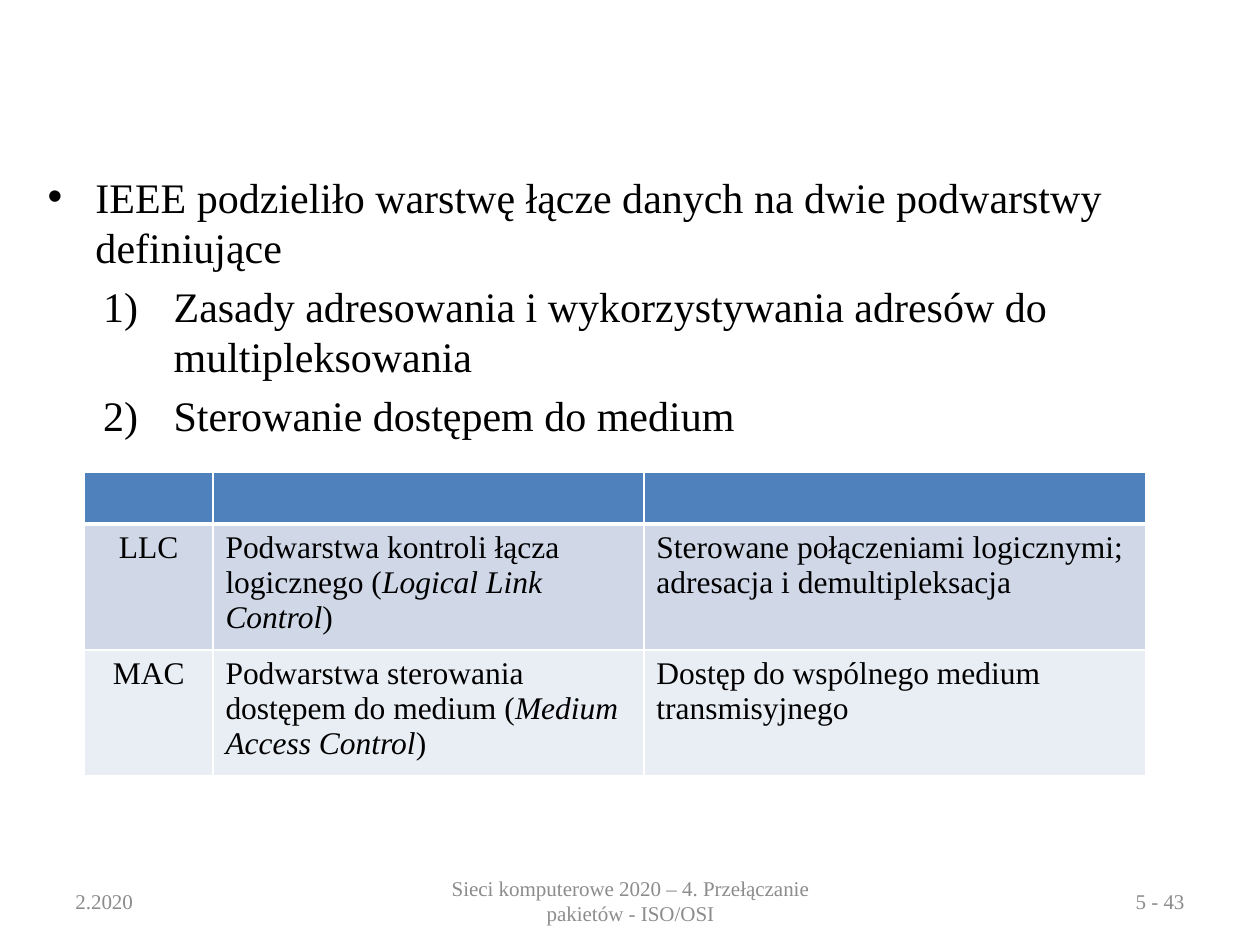
from lxml.etree import SubElement
from pptx import Presentation
from pptx.dml.color import RGBColor
from pptx.enum.text import MSO_ANCHOR, PP_ALIGN
from pptx.oxml.ns import qn
from pptx.util import Inches, Pt

BLACK = RGBColor(0x00, 0x00, 0x00)
GRAY = RGBColor(0x8C, 0x8C, 0x8C)
WHITE = RGBColor(0xFF, 0xFF, 0xFF)
HEADER_BLUE = RGBColor(0x4F, 0x81, 0xBD)
BAND_DARK = RGBColor(0xD0, 0xD8, 0xE8)
BAND_LIGHT = RGBColor(0xE9, 0xED, 0xF4)

BULLET = ("buChar", {"char": "•"})
NUMBER = ("buAutoNum", {"type": "arabicParenR"})
OUTLINE = [
    ("IEEE podzieliło warstwę łącze danych na dwie podwarstwy definiujące", 0, 0.38, -0.38, BULLET),
    ("Zasady adresowania i wykorzystywania adresów do multipleksowania", 1, 1, -0.56, NUMBER),
    ("Sterowanie dostępem do medium", 1, 1, -0.56, NUMBER),
]
FOOTERS = [
    ("Sieci komputerowe 2020 – 4. Przełączanie pakietów - ISO/OSI", 3.42, 3.17, PP_ALIGN.CENTER),
    ("5 - 43", 7.17, 2.33, PP_ALIGN.RIGHT),
    ("2.2020", 0.5, 2.33, PP_ALIGN.LEFT),
]
COLUMNS = [1.02, 3.42, 3.98]
ROWS = [
    (0.41, HEADER_BLUE, 3, [[""], [""], [""]]),
    (0.92, BAND_DARK, 1, [
        ["LLC"],
        ["Podwarstwa kontroli łącza logicznego (", "Logical Link Control", ")"],
        ["Sterowane połączeniami logicznymi; adresacja i demultipleksacja"],
    ]),
    (0.92, BAND_LIGHT, 1, [
        ["MAC"],
        ["Podwarstwa sterowania dostępem do medium (", "Medium Access Control", ")"],
        ["Dostęp do wspólnego medium transmisyjnego"],
    ]),
]


class SlideBuilder:
    font_name = "Times New Roman"

    def __init__(self, slide):
        self.slide = slide

    def style(self, font, size, color):
        font.name = self.font_name
        font.size = Pt(size)
        font.color.rgb = color

    def text_frame(self, left, top, width, height):
        box = self.slide.shapes.add_textbox(
            Inches(left), Inches(top), Inches(width), Inches(height))
        box.text_frame.word_wrap = True
        return box.text_frame

    def outline(self, items, left, top, width, height):
        frame = self.text_frame(left, top, width, height)
        for index, (text, level, margin, indent, marker) in enumerate(items):
            para = frame.paragraphs[0] if index == 0 else frame.add_paragraph()
            para.text = text
            para.level = level
            if index:
                para.space_before = Pt(4.8)
            properties = para._p.get_or_add_pPr()
            properties.set("marL", str(Inches(margin)))
            properties.set("indent", str(Inches(indent)))
            tag, attributes = marker
            SubElement(properties, qn("a:buFont"), typeface="Arial" if marker is BULLET else "+mj-lt")
            SubElement(properties, qn(f"a:{tag}"), attributes)
            self.style(para.runs[0].font, 24, BLACK)

    def footer(self, text, left, width, alignment):
        frame = self.text_frame(left, 6.95, width, 0.4)
        frame.vertical_anchor = MSO_ANCHOR.MIDDLE
        frame.text = text
        para = frame.paragraphs[0]
        para.alignment = alignment
        self.style(para.runs[0].font, 12, GRAY)

    def borders(self, cell, bottom_width):
        properties = cell._tc.get_or_add_tcPr()
        for side, width in (("L", 1), ("R", 1), ("T", 1), ("B", bottom_width)):
            line = SubElement(properties, qn(f"a:ln{side}"), w=str(Pt(width)))
            fill = SubElement(line, qn("a:solidFill"))
            SubElement(fill, qn("a:srgbClr"), val=str(WHITE))

    def cell(self, cell, pieces, fill, bottom_width, centered):
        self.borders(cell, bottom_width)
        cell.fill.solid()
        cell.fill.fore_color.rgb = fill
        para = cell.text_frame.paragraphs[0]
        para.alignment = PP_ALIGN.CENTER if centered else PP_ALIGN.LEFT
        self.style(para.font, 18, BLACK)
        for index, piece in enumerate(filter(None, pieces)):
            span = para.add_run()
            span.text = piece
            self.style(span.font, 18, BLACK)
            span.font.italic = index == 1

    def table(self, rows, columns, left, top):
        height = sum(row[0] for row in rows)
        table = self.slide.shapes.add_table(
            len(rows), len(columns), Inches(left), Inches(top),
            Inches(sum(columns)), Inches(height)).table
        for column, width in zip(table.columns, columns):
            column.width = Inches(width)
        for row, (row_height, fill, bottom_width, contents) in zip(table.rows, rows):
            row.height = Inches(row_height)
            for index, pieces in enumerate(contents):
                self.cell(row.cells[index], pieces, fill, bottom_width, index == 0)


def main():
    deck = Presentation()
    deck.slide_width = Inches(10)
    deck.slide_height = Inches(7.5)
    builder = SlideBuilder(deck.slides.add_slide(deck.slide_layouts[6]))
    builder.outline(OUTLINE, 0.28, 1.31, 9.53, 5.39)
    for footer in FOOTERS:
        builder.footer(*footer)
    builder.table(ROWS, COLUMNS, 0.67, 3.75)
    deck.save("out.pptx")


if __name__ == "__main__":
    main()
